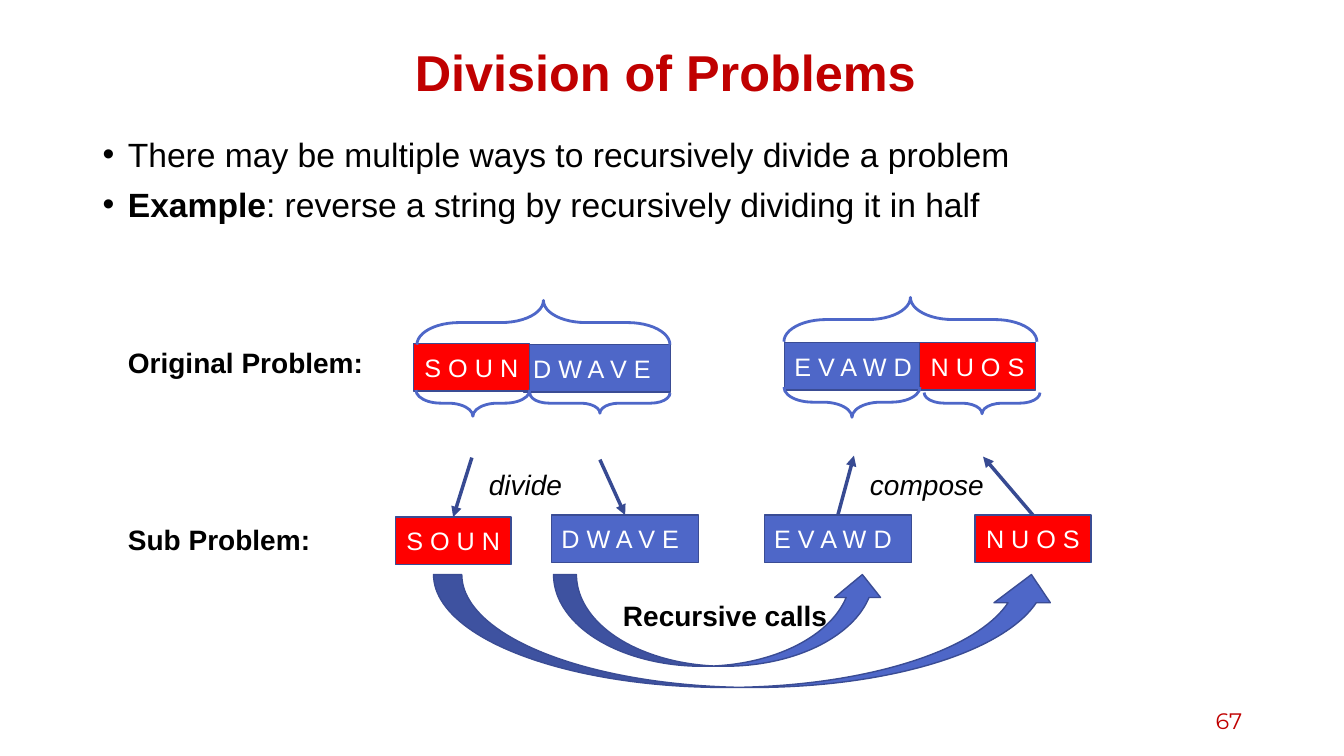
"""Build the slide that shows how a string is reversed by dividing it in half."""
from lxml import etree
from pptx import Presentation
from pptx.dml.color import RGBColor
from pptx.enum.shapes import MSO_CONNECTOR, MSO_SHAPE
from pptx.enum.text import MSO_ANCHOR, PP_ALIGN
from pptx.oxml.ns import qn
from pptx.util import Inches, Pt

STRAIGHT = MSO_CONNECTOR.STRAIGHT
RECTANGLE, BRACE = MSO_SHAPE.RECTANGLE, MSO_SHAPE.RIGHT_BRACE
CURVED_ARROW = MSO_SHAPE.CURVED_UP_ARROW
MIDDLE, TOP = MSO_ANCHOR.MIDDLE, MSO_ANCHOR.TOP
LEFT, CENTER, RIGHT = PP_ALIGN.LEFT, PP_ALIGN.CENTER, PP_ALIGN.RIGHT

CRIMSON = RGBColor(0xC0, 0x00, 0x00)
RED = RGBColor(0xFF, 0x00, 0x00)
BLUE = RGBColor(0x4E, 0x67, 0xC8)
EDGE = RGBColor(0x3A, 0x4C, 0x94)
ARROW = RGBColor(0x37, 0x4A, 0x92)
BLACK = RGBColor(0x00, 0x00, 0x00)
WHITE = RGBColor(0xFF, 0xFF, 0xFF)

WIDTH, HEIGHT = 13.33, 7.5
MARGIN, CONTENT_WIDTH = 0.92, 11.5
LABEL_LEFT, LABEL_WIDTH, LABEL_HEIGHT = 1.17, 2.75, 0.44
LONG, SHORT, BOX_HEIGHT = 1.46, 1.15, 0.47

TITLE = "Division of Problems "
BULLETS = [
    [("There may be multiple ways to recursively divide a problem", False)],
    [("Example", True), (": reverse a string by recursively dividing it in half", False)],
]
LABELS = [
    ("Original Problem:", LABEL_LEFT, 3.38, LABEL_WIDTH, True),
    ("Sub Problem:", LABEL_LEFT, 5.13, LABEL_WIDTH, True),
    ("Recursive calls", 6.08, 5.89, 2.39, True),
    ("divide", 4.75, 4.59, 1.14, False),
    ("compose", 8.53, 4.59, 1.48, False),
]
WHOLE_STRINGS = [
    ("D W A V E", 5.19, 3.42, BLUE),
    ("S O U N", 4.1, 3.41, RED),
    ("E V A W D", 7.78, 3.4, BLUE),
    ("N U O S", 9.12, 3.4, RED),
]
HALVES = [
    ("S O U N", 3.92, 5.13, RED),
    ("D W A V E", 5.47, 5.11, BLUE),
    ("E V A W D", 7.58, 5.11, BLUE),
    ("N U O S", 9.67, 5.11, RED),
]
ARROW_TOPS = [(4.68, 4.54), (5.95, 4.56), (8.47, 4.52), (9.75, 4.53)]
BRACES = [
    (5.39, 3.2, 2.51, 0.44, 270),
    (9.03, 3.17, 2.51, 0.44, 270),
    (4.69, 4, 1.13, 0.26, 90),
    (5.95, 4, 1.39, 0.2, 90),
    (8.45, 3.99, 1.35, 0.3, 90),
    (9.74, 4, 1.15, 0.21, 90),
]
CALLS = [(5.49, 5.7, 3.29, 0.91), (4.3, 5.7, 6.21, 1.12)]


def inches(*lengths):
    return [Inches(length) for length in lengths]


def style(font, size, color, bold=False, italic=False, name="Arial"):
    font.name, font.size, font.bold, font.italic = name, Pt(size), bold, italic
    font.color.rgb = color


def add_text(page, text, place, anchor=TOP, align=LEFT, **look):
    frame = page.shapes.add_textbox(*inches(*place)).text_frame
    frame.word_wrap, frame.vertical_anchor = True, anchor
    frame.text = text
    para = frame.paragraphs[0]
    para.alignment = align
    style(para.runs[0].font, **look)


def add_shape(page, kind, place, fill, line, weight):
    shape = page.shapes.add_shape(kind, *inches(*place))
    shape.shadow.inherit = False
    if fill is None:
        shape.fill.background()
    else:
        shape.fill.solid()
        shape.fill.fore_color.rgb = fill
    shape.line.color.rgb, shape.line.width = line, Pt(weight)
    return shape


def add_string(page, text, left, top, fill):
    width = LONG if fill == BLUE else SHORT
    box = add_shape(page, RECTANGLE, (left, top, width, BOX_HEIGHT), fill, EDGE, 1)
    frame = box.text_frame
    frame.word_wrap, frame.vertical_anchor = True, MIDDLE
    frame.text = text
    para = frame.paragraphs[0]
    para.alignment = LEFT if fill == BLUE else CENTER
    if fill == RED:
        frame.margin_left = frame.margin_right = 0
    style(para.runs[0].font, 18, WHITE)
    return box


def add_brace(page, center_x, center_y, span, depth, rotation):
    place = (center_x - depth / 2, center_y - span / 2, depth, span)
    brace = add_shape(page, BRACE, place, None, BLUE, 2)
    brace.rotation = rotation
    brace.adjustments[0] = 0.95


def add_arrow(page, box, point, downward):
    x, y = inches(*point)
    arrow = page.shapes.add_connector(STRAIGHT, x, y, x, y)
    if downward:
        arrow.end_connect(box, 0)
    else:
        arrow.begin_connect(box, 0)
    arrow.line.color.rgb, arrow.line.width = ARROW, Pt(2.5)
    line = arrow.line._get_or_add_ln()
    etree.SubElement(line, qn("a:tailEnd"), type="triangle")
    etree.SubElement(arrow._element.spPr, qn("a:effectLst"))


def add_title(page):
    title = page.shapes.title
    title.left, title.top, title.width, title.height = inches(MARGIN, 0.4, CONTENT_WIDTH, 0.7)
    frame = title.text_frame
    frame.text, frame.vertical_anchor = TITLE, MIDDLE
    para = frame.paragraphs[0]
    para.alignment, para.line_spacing = CENTER, 0.9
    style(para.runs[0].font, 36, CRIMSON, bold=True)


def add_bullets(page):
    box = page.shapes.add_textbox(*inches(MARGIN, 1.32, CONTENT_WIDTH, 1.1))
    frame = box.text_frame
    frame.word_wrap = True
    for index, pieces in enumerate(BULLETS):
        para = frame.add_paragraph() if index else frame.paragraphs[0]
        para.line_spacing, para.space_before = 0.9, Pt(10 if index else 0)
        properties = para._p.get_or_add_pPr()
        properties.set("marL", str(Inches(0.25)))
        properties.set("indent", str(Inches(-0.25)))
        etree.SubElement(properties, qn("a:buFont"), typeface="Arial")
        etree.SubElement(properties, qn("a:buChar"), char="•")
        for text, bold in pieces:
            span = para.add_run()
            span.text = text
            style(span.font, 24, BLACK, bold=bold)


def main():
    deck = Presentation()
    deck.slide_width, deck.slide_height = inches(WIDTH, HEIGHT)
    page = deck.slides.add_slide(deck.slide_layouts[5])
    add_title(page)
    add_bullets(page)
    add_text(page, "67", (9.42, 6.95, 3, 0.4), MIDDLE, RIGHT,
             size=16, color=CRIMSON, name="Montserrat")
    for string in WHOLE_STRINGS:
        add_string(page, *string)
    for brace in BRACES:
        add_brace(page, *brace)
    boxes = [add_string(page, *half) for half in HALVES]
    for index, (box, point) in enumerate(zip(boxes, ARROW_TOPS)):
        add_arrow(page, box, point, downward=index < 2)
    for place in CALLS:
        add_shape(page, CURVED_ARROW, place, BLUE, EDGE, 1)
    for text, left, top, width, bold in LABELS:
        add_text(page, text, (left, top, width, LABEL_HEIGHT),
                 size=20, color=BLACK, bold=bold, italic=not bold)
    deck.save("out.pptx")


if __name__ == "__main__":
    main()
